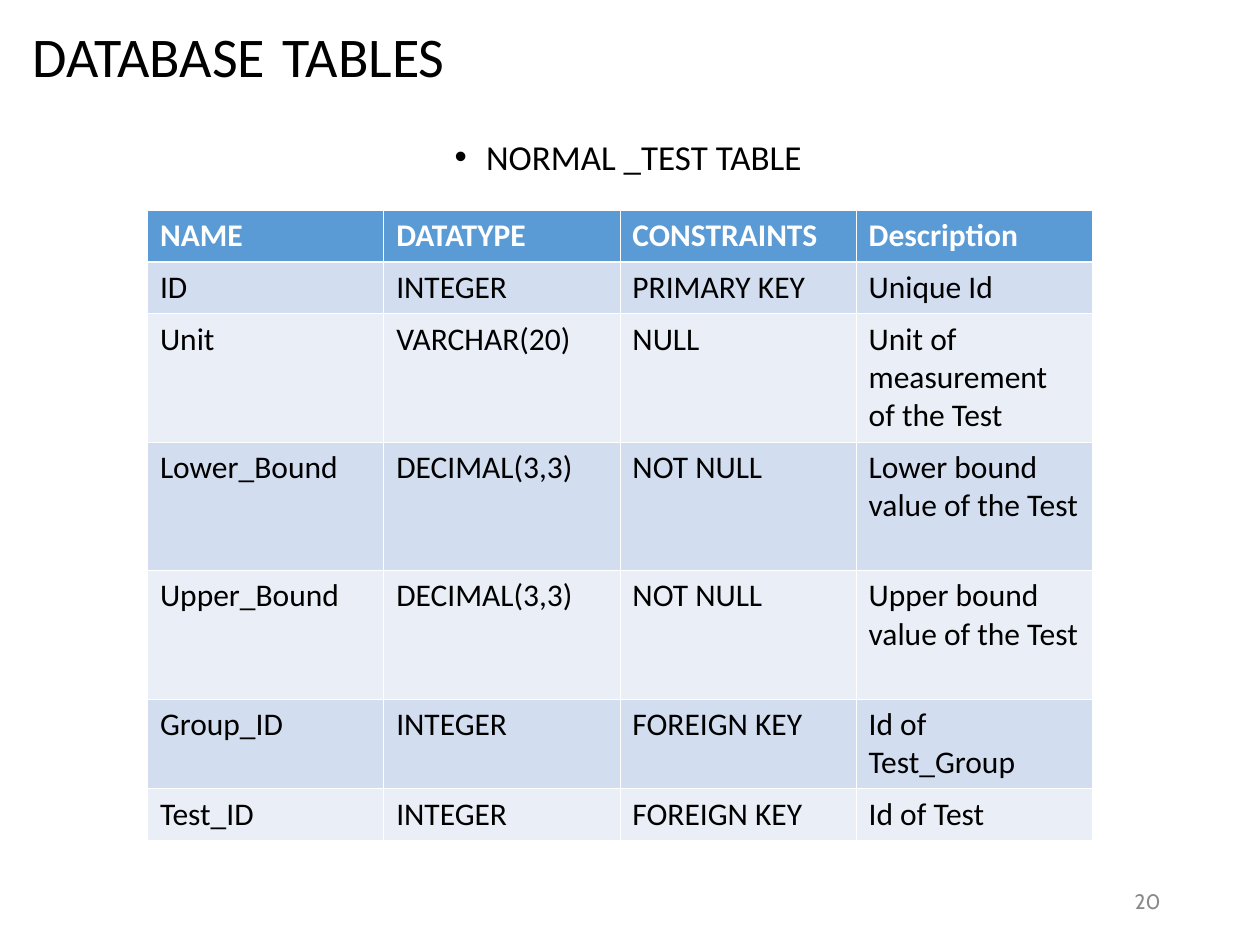
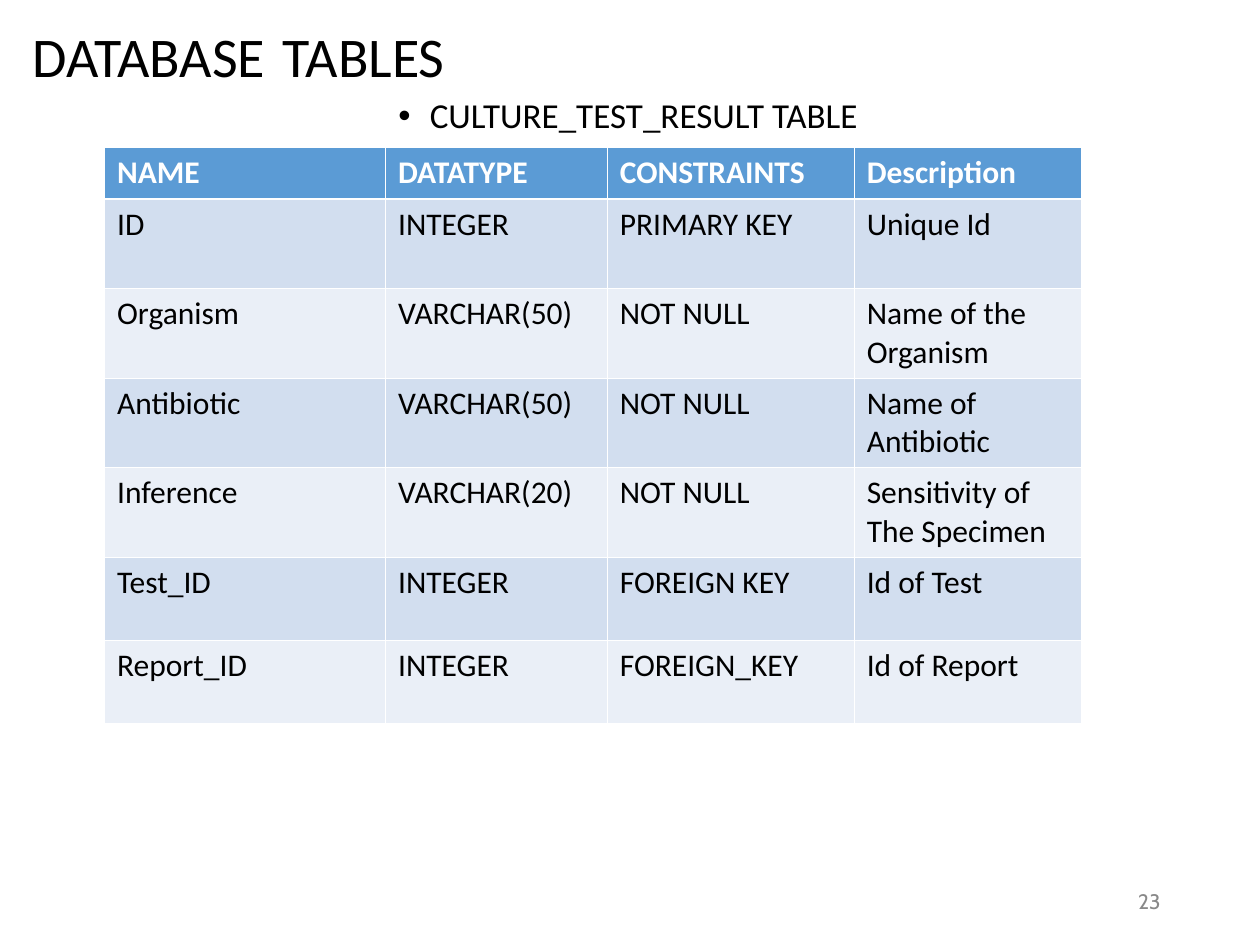
from dataclasses import dataclass

from lxml import etree
from pptx import Presentation, util as u
from pptx.dml.color import RGBColor
from pptx.enum import text
from pptx.oxml.ns import qn


@dataclass(frozen=True)
class Theme:
    font: str = "Calibri"
    number_font: str = "Cabin"
    ink: str = "000000"
    white: str = "FFFFFF"
    grey: str = "898989"
    header: str = "5B9BD5"
    bands: tuple = ("D2DEEF", "EAEFF7")
    title_size: int = 32
    title_gap_size: int = 44
    caption_size: int = 20
    cell_size: int = 18
    number_size: int = 12
    rule: float = 0.45
    header_rule: float = 1.47


THEME = Theme()
TITLE_BOX = (0.19, 0.08, 3.73, 0.67)
NUMBER_BOX = (7.06, 6.95, 2.25, 0.4)
HEADINGS = ("NAME", "DATATYPE", "CONSTRAINTS", "Description")

# Content of each slide; table boxes give left and top, sizes follow the grid
SLIDES = [
    dict(
        number="20",
        caption="NORMAL _TEST TABLE",
        caption_box=(0.67, 1.08, 8.63, 0.67),
        table_at=(1.17, 1.67),
        columns=[7.5 / 4] * 4,
        heights=[0.41, 0.41, 1.02, 1.02, 1.02, 0.71, 0.41],
        fields=[
            ("ID", "INTEGER", "PRIMARY KEY", "Unique Id"),
            ("Unit", "VARCHAR(20)", "NULL", "Unit of measurement\vof the Test"),
            ("Lower_Bound", "DECIMAL(3,3)", "NOT NULL", "Lower bound value of the Test"),
            ("Upper_Bound", "DECIMAL(3,3)", "NOT NULL", "Upper bound value of the Test"),
            ("Group_ID", "INTEGER", "FOREIGN KEY", "Id of Test_Group"),
            ("Test_ID", "INTEGER", "FOREIGN KEY", "Id of Test"),
        ],
    ),
    dict(
        number="23",
        caption="CULTURE_TEST_RESULT TABLE",
        caption_box=(0.67, 0.75, 8.63, 0.67),
        table_at=(0.83, 1.17),
        columns=[2.23, 1.76, 1.96, 1.8],
        heights=[0.41] + [0.71] * 4 + [0.66] * 2,
        fields=[
            ("ID", "INTEGER", "PRIMARY KEY", "Unique Id"),
            ("Organism", "VARCHAR(50)", "NOT NULL", "Name of the Organism"),
            ("Antibiotic", "VARCHAR(50)", "NOT NULL", "Name of Antibiotic"),
            ("Inference", "VARCHAR(20)", "NOT NULL", "Sensitivity of The Specimen"),
            ("Test_ID", "INTEGER", "FOREIGN KEY", "Id of Test"),
            ("Report_ID", "INTEGER", "FOREIGN_KEY", "Id of Report"),
        ],
    ),
]


def style_font(p, size, color=THEME.ink, name=THEME.font, bold=False):
    p.font.name, p.font.size, p.font.bold = name, u.Pt(size), bold
    p.font.color.rgb = RGBColor.from_string(color)


def place(sp, box, anchor, inset=(0.07, 0.03)):
    """Move a text shape to its box and return its text frame."""
    sp.left, sp.top, sp.width, sp.height = map(u.Inches, box)
    tf = sp.text_frame
    tf.word_wrap = True
    tf.auto_size = text.MSO_AUTO_SIZE.NONE
    tf.vertical_anchor = anchor
    tf.margin_left = tf.margin_right = u.Inches(inset[0])
    tf.margin_top = tf.margin_bottom = u.Inches(inset[1])
    return tf


def add_title(s, box):
    p = place(s.shapes.title, box, text.MSO_ANCHOR.MIDDLE).paragraphs[0]
    p.alignment = text.PP_ALIGN.LEFT
    p.line_spacing = 0.9
    style_font(p, THEME.title_size)
    for word, size in (("DATABASE", THEME.title_size),
                       (" ", THEME.title_gap_size),
                       ("TABLES", THEME.title_size)):
        r = p.add_run()
        r.text = word
        r.font.size = u.Pt(size)


def add_caption(s, box, caption):
    p = place(s.placeholders[1], box, text.MSO_ANCHOR.TOP).paragraphs[0]
    p.text = caption
    p.alignment = text.PP_ALIGN.CENTER
    p.line_spacing = 0.9
    p.space_before = u.Pt(10)
    style_font(p, THEME.caption_size)
    # Hanging bullet
    pPr = p._p.get_or_add_pPr()
    pPr.set("marL", str(u.Inches(0.25)))
    pPr.set("indent", str(u.Inches(-0.25)))


def add_number(s, box, number):
    sp = s.shapes.add_textbox(*map(u.Inches, box))
    p = place(sp, box, text.MSO_ANCHOR.MIDDLE, (0.1, 0.05)).paragraphs[0]
    p.text = number
    p.alignment = text.PP_ALIGN.RIGHT
    style_font(p, THEME.number_size, THEME.grey, THEME.number_font)


def set_borders(cell, top, bottom):
    tcPr = cell._tc.get_or_add_tcPr()
    for side, width in (("L", THEME.rule), ("R", THEME.rule), ("T", top), ("B", bottom)):
        ln = etree.SubElement(tcPr, qn(f"a:ln{side}"), w=str(u.Pt(width)))
        fill = etree.SubElement(ln, qn("a:solidFill"))
        etree.SubElement(fill, qn("a:srgbClr"), val=THEME.white)


def style_cell(cell, row):
    is_header = row == 0
    set_borders(cell,
                top=THEME.header_rule if row == 1 else THEME.rule,
                bottom=THEME.header_rule if is_header else THEME.rule)
    cell.fill.solid()
    cell.fill.fore_color.rgb = RGBColor.from_string(
        THEME.header if is_header else THEME.bands[(row - 1) % 2])
    style_font(cell.text_frame.paragraphs[0], THEME.cell_size,
               THEME.white if is_header else THEME.ink, bold=is_header)


def add_field_table(s, at, columns, heights, fields):
    rows = [HEADINGS, *fields]
    box = (*at, sum(columns), sum(heights))
    table = s.shapes.add_table(len(rows), len(columns), *map(u.Inches, box)).table
    for column, width in zip(table.columns, columns):
        column.width = u.Inches(width)
    for i, (row, height, values) in enumerate(zip(table.rows, heights, rows)):
        row.height = u.Inches(height)
        for cell, value in zip(row.cells, values):
            cell.text_frame.paragraphs[0].text = value
            style_cell(cell, i)


def add_table_slide(prs, number, caption, caption_box, table_at, columns, heights, fields):
    s = prs.slides.add_slide(prs.slide_layouts[1])
    add_title(s, TITLE_BOX)
    add_number(s, NUMBER_BOX, number)
    add_caption(s, caption_box, caption)
    add_field_table(s, table_at, columns, heights, fields)


def main():
    prs = Presentation()
    prs.slide_width, prs.slide_height = u.Inches(10), u.Inches(7.5)
    for content in SLIDES:
        add_table_slide(prs, **content)
    prs.save("out.pptx")


if __name__ == "__main__":
    main()
